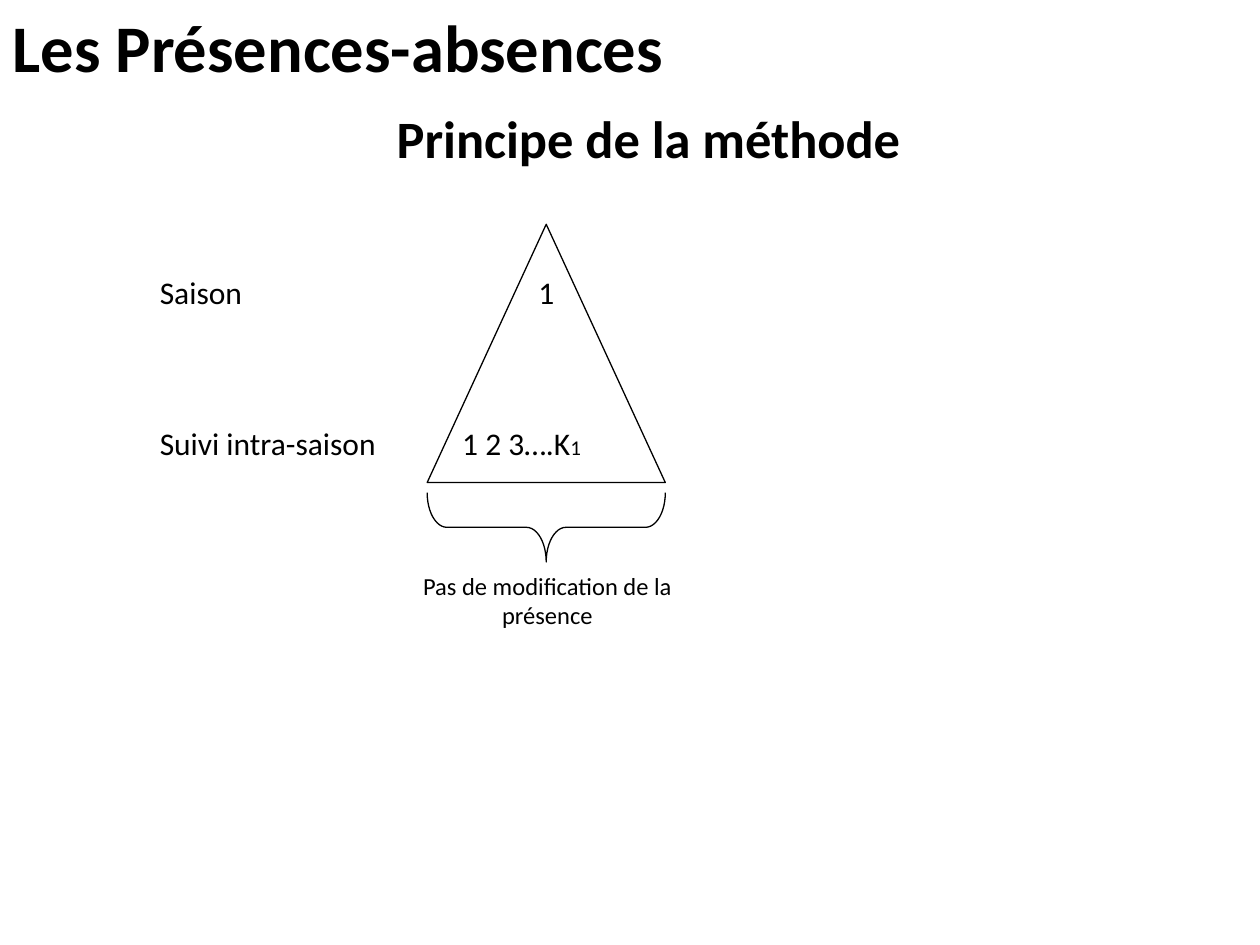
from dataclasses import dataclass

from pptx import Presentation
from pptx.dml.color import RGBColor
from pptx.enum.shapes import MSO_SHAPE
from pptx.enum.text import MSO_ANCHOR, MSO_AUTO_SIZE, PP_ALIGN
from pptx.util import Inches, Pt


@dataclass(frozen=True)
class Theme:
    font: str = "Calibri"
    ink: RGBColor = RGBColor(0, 0, 0)
    title: float = 38
    subtitle: float = 30
    body: float = 18
    note: float = 14
    subscript: float = 12
    line: float = 0.75


THEME = Theme()


def place(shape, box):
    for name, value in zip(("left", "top", "width", "height"), box):
        setattr(shape, name, Inches(value))


def write(shape, runs, bold=False, align=PP_ALIGN.LEFT, wrap=True):
    """Fill a shape with one paragraph of (text, size) runs."""
    frame_format = {
        "word_wrap": wrap,
        "auto_size": MSO_AUTO_SIZE.NONE,
        "vertical_anchor": MSO_ANCHOR.TOP,
    }
    for name, value in frame_format.items():
        setattr(shape.text_frame, name, value)
    paragraph = shape.text_frame.paragraphs[0]
    paragraph.alignment = align
    for text, size in runs:
        run = paragraph.add_run()
        run.text = text
        font_format = {"name": THEME.font, "size": Pt(size), "bold": bold}
        for name, value in font_format.items():
            setattr(run.font, name, value)
        run.font.color.rgb = THEME.ink


def add_text(slide, box, runs, **options):
    shape = slide.shapes.add_textbox(*map(Inches, box))
    write(shape, runs, **options)


def add_outline(slide, kind, box, adjustments, rotation=0):
    shape = slide.shapes.add_shape(kind, *map(Inches, box))
    shape.shadow.inherit = False
    shape.fill.background()
    shape.line.color.rgb = THEME.ink
    shape.line.width = Pt(THEME.line)
    shape.rotation = rotation
    for index, value in enumerate(adjustments):
        shape.adjustments[index] = value


def add_headings(slide, box):
    left, top, width, height = box
    place(slide.shapes.title, (left, top, width, height))
    write(slide.shapes.title, [("Les Présences-absences", THEME.title)],
          bold=True, wrap=False)
    add_text(slide, (left + 3.05, top + 0.79, 4.76, 0.6),
             [("Principe de la méthode", THEME.subtitle)], bold=True, wrap=False)


def add_row_labels(slide, box):
    left, top, width, height = box
    row_step, row_height = height - 0.4, 0.4
    for index, label in enumerate(("Saison", "Suivi intra-saison")):
        add_text(slide, (left, top + index * row_step, width, row_height),
                 [(label, THEME.body)], wrap=False)


def add_season_triangle(slide, box):
    left, top, width, height = box
    add_outline(slide, MSO_SHAPE.ISOSCELES_TRIANGLE, box, [0.5])
    # Season number, then the surveys within it
    add_text(slide, (left, top + 0.34, width, 0.4), [("1", THEME.body)],
             align=PP_ALIGN.CENTER)
    add_text(slide, (left + 0.18, top + 1.54, width - 0.4, 0.4),
             [("1 2 3….K", THEME.body), ("1", THEME.subscript)], wrap=False)


def add_brace_note(slide, box):
    left, top, width, height = box
    # A left brace turned to point down: its own width is the depth seen
    depth = 0.55
    brace_box = (left + (width - depth) / 2, top + (depth - width) / 2, depth, width)
    add_outline(slide, MSO_SHAPE.LEFT_BRACE, brace_box, [0.285, 0.5], rotation=270)
    add_text(slide, (left - 0.24, top + 0.57, width + 0.5, height - 0.57),
             [("Pas de modification de la présence", THEME.note)],
             align=PP_ALIGN.CENTER)


def main():
    presentation = Presentation()
    presentation.slide_width = Inches(10)
    presentation.slide_height = Inches(7.5)
    slide = presentation.slides.add_slide(presentation.slide_layouts[5])

    add_headings(slide, (0, 0, 6.09, 0.74))
    add_row_labels(slide, (1.17, 2.12, 2.1, 1.6))
    add_season_triangle(slide, (3.39, 1.78, 1.89, 2.05))
    add_brace_note(slide, (3.39, 3.91, 1.89, 1.14))

    presentation.save("out.pptx")


if __name__ == "__main__":
    main()
